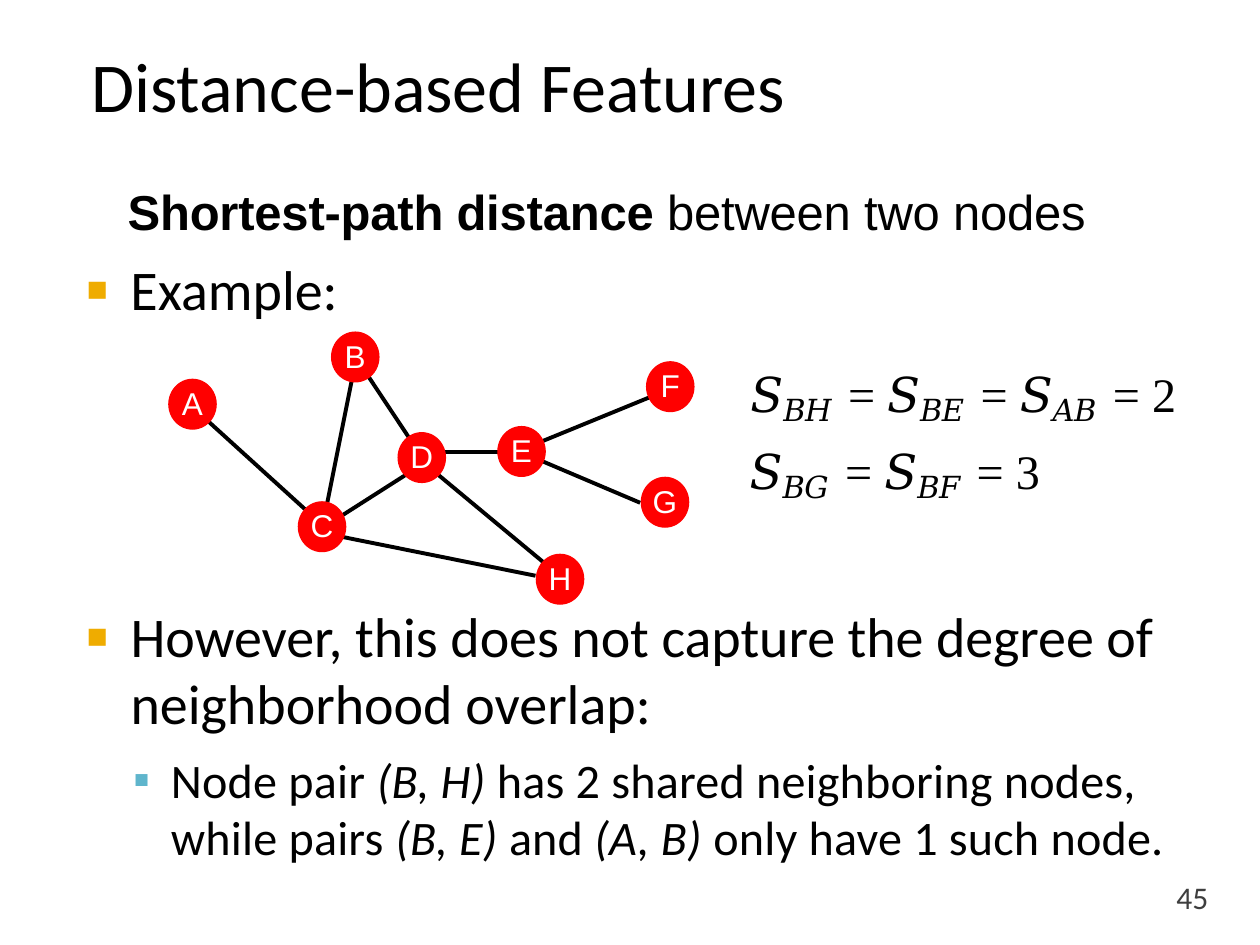
from dataclasses import dataclass

from lxml import etree
from pptx import Presentation
from pptx.dml.color import RGBColor
from pptx.enum.shapes import MSO_CONNECTOR, MSO_SHAPE
from pptx.enum.text import MSO_ANCHOR, PP_ALIGN
from pptx.oxml.ns import qn
from pptx.util import Pt

OVAL = MSO_SHAPE.OVAL
LINE = MSO_CONNECTOR.STRAIGHT
MIDDLE = MSO_ANCHOR.MIDDLE
CENTER = PP_ALIGN.CENTER


@dataclass(frozen=True)
class Theme:
    ink: str = "000000"
    node: str = "FF0000"
    label: str = "FFFFFF"
    gold: str = "EFAC00"
    sky: str = "5FB5CC"
    gray: str = "3E3E3E"
    body: str = "Calibri"
    sans: str = "Arial"
    math: str = "Times New Roman"
    title: float = 40
    main: float = 32
    lead: float = 28
    sub: float = 27.5
    index: float = 30
    small: float = 18


T = Theme()

NODES = {
    "A": (14, 42), "B": (107, 15), "C": (88, 112), "D": (145, 72.5),
    "E": (202, 69), "F": (287, 32), "G": (284, 98), "H": (224, 142),
}
EDGES = [
    (23.5, 52.2, 78.2, 101.9),   # A-C
    (88.3, 112, 107, 18.4),      # C-B
    (149.5, 69.5, 189, 69.5),    # D-E
    (145.2, 72.4, 107, 14.8),    # D-B
    (88.3, 112.7, 135.8, 82.4),  # C-D
    (202, 68, 286.3, 33.5),      # E-F
    (202, 69.5, 269.8, 98.3),    # E-G
    (154.5, 82.4, 214.3, 132.1), # D-H
    (99, 117.7, 210, 140),       # C-H
]


def add_xml(parent, tag, **attrs):
    return etree.SubElement(parent, qn(tag), attrs)


def add_run(para, text, size, face, color=T.ink, marks=None, **style):
    """Add a run; marks are raw attributes such as spc and baseline."""
    run = para.add_run()
    run.text = text
    font = run.font
    font.color.rgb = RGBColor.from_string(color)
    for key, value in {"size": Pt(size), "name": face, **style}.items():
        setattr(font, key, value)
    for key, value in (marks or {}).items():
        font._element.set(key, str(value))


def set_para(para, left=0, hang=0, bullet=None, **space):
    """Set spacing, indents and an optional (sign, colour, percent) bullet."""
    for key, value in space.items():
        setattr(para, key, Pt(value))
    props = para._p.get_or_add_pPr()
    props.set("marL", str(Pt(left)))
    props.set("indent", str(Pt(-hang)))
    if bullet:
        sign, color, percent = bullet
        add_xml(add_xml(props, "a:buClr"), "a:srgbClr", val=color)
        add_xml(props, "a:buSzPct", val=str(percent * 1000))
        add_xml(props, "a:buFont", typeface=T.sans)
        add_xml(props, "a:buChar", char=sign)


def set_frame(frame, top=0, bottom=0):
    frame.margin_left = frame.margin_right = 0
    frame.margin_top, frame.margin_bottom = Pt(top), Pt(bottom)


def add_box(slide, box, top=0):
    frame = slide.shapes.add_textbox(*map(Pt, box)).text_frame
    frame.word_wrap = True
    set_frame(frame, top)
    return frame


def add_line(slide, box, text, size, face, color=T.ink, **layout):
    para = add_box(slide, box).paragraphs[0]
    set_para(para, **layout)
    add_run(para, text, size, face, color)


def add_lead(slide, box):
    para = add_box(slide, box).paragraphs[0]
    tight = {"spc": -10}
    add_run(para, "Shortest-path distance ", T.lead, T.sans, marks=tight, bold=True)
    add_run(para, "between two nodes", T.lead, T.sans, marks=tight)


def add_graph(slide, box):
    left, top = box
    for x1, y1, x2, y2 in EDGES:
        ends = (left + x1, top + y1, left + x2, top + y2)
        edge = slide.shapes.add_connector(LINE, *map(Pt, ends))
        edge.line.color.rgb = RGBColor.from_string(T.ink)
        edge.line.width = Pt(2.25)
        add_xml(edge._element.spPr, "a:effectLst")
    wide, high = 27, 28.4
    red = RGBColor.from_string(T.node)
    for name, (x, y) in NODES.items():
        spot = (left + x - wide / 2, top + y - high / 2, wide, high)
        node = slide.shapes.add_shape(OVAL, *map(Pt, spot))
        node.shadow.inherit = False
        node.fill.solid()
        node.fill.fore_color.rgb = red
        node.line.color.rgb = red
        node.line.width = Pt(0.75)
        frame = node.text_frame
        set_frame(frame, bottom=1.5)
        frame.word_wrap = False
        frame.vertical_anchor = MIDDLE
        para = frame.paragraphs[0]
        para.alignment = CENTER
        add_run(para, name, T.small, T.sans, T.label)


def add_sum(slide, box, pairs, value):
    """Write a chain of equal S terms, one per pair, and its value."""
    para = add_box(slide, box, 1.4).paragraphs[0]
    set_para(para, left=2.9, space_before=1.2)
    for pair in pairs:
        add_run(para, "𝑆", T.sub, T.math, marks={"spc": -20})
        add_run(para, pair, T.index, T.math, marks={"spc": -40, "baseline": -17000})
        add_run(para, " ", T.sub, T.math, marks={"spc": 250})
        add_run(para, "= ", T.sub, T.math)
    add_run(para, value, T.sub, T.math)


def add_notes(slide, box):
    frame = add_box(slide, box, 0.7)
    first = frame.paragraphs[0]
    set_para(first, 26.6, 25.2, ("◾", T.gold, 80), line_spacing=36.8)
    add_run(first, "However, this does not capture the degree of", T.main, T.body,
            marks={"spc": -7})
    second = frame.add_paragraph()
    set_para(second, 26.6, line_spacing=38.4)
    add_run(second, "neighborhood overlap:", T.main, T.body)
    third = frame.add_paragraph()
    third.level = 1
    set_para(third, 49.7, 21.6, ("▪", T.sky, 100), space_before=8.2)
    parts = ["Node pair ", "(B, H) ", "has 2 shared neighboring nodes, while pairs ",
             "(B, E) ", "and ", "(A, B) ", "only have 1 such node."]
    for part in parts:
        add_run(third, part, T.sub, T.body, marks={"spc": 15},
                italic=part.startswith("("))


def main():
    deck = Presentation()
    deck.slide_width, deck.slide_height = Pt(720), Pt(540)
    slide = deck.slides.add_slide(deck.slide_layouts[6])
    add_line(slide, (52.2, 24.4, 610, 50), "Distance-based Features", T.title, T.body)
    add_lead(slide, (73, 103.7, 574, 35))
    add_line(slide, (48, 145.5, 160, 40), "Example:", T.main, T.body,
             left=26.6, hang=25.2, bullet=("◾", T.gold, 80))
    add_graph(slide, (96, 189))
    add_sum(slide, (426, 204.5, 285, 35), ["𝐵𝐻", "𝐵𝐸", "𝐴𝐵"], "2")
    add_sum(slide, (425.5, 248.5, 285, 35), ["𝐵𝐺", "𝐵𝐹"], "3")
    add_notes(slide, (48, 344.5, 624, 151))
    add_line(slide, (665, 502, 37, 22), "45", T.small, T.body, T.gray, left=7.2)
    deck.save("out.pptx")


if __name__ == "__main__":
    main()
